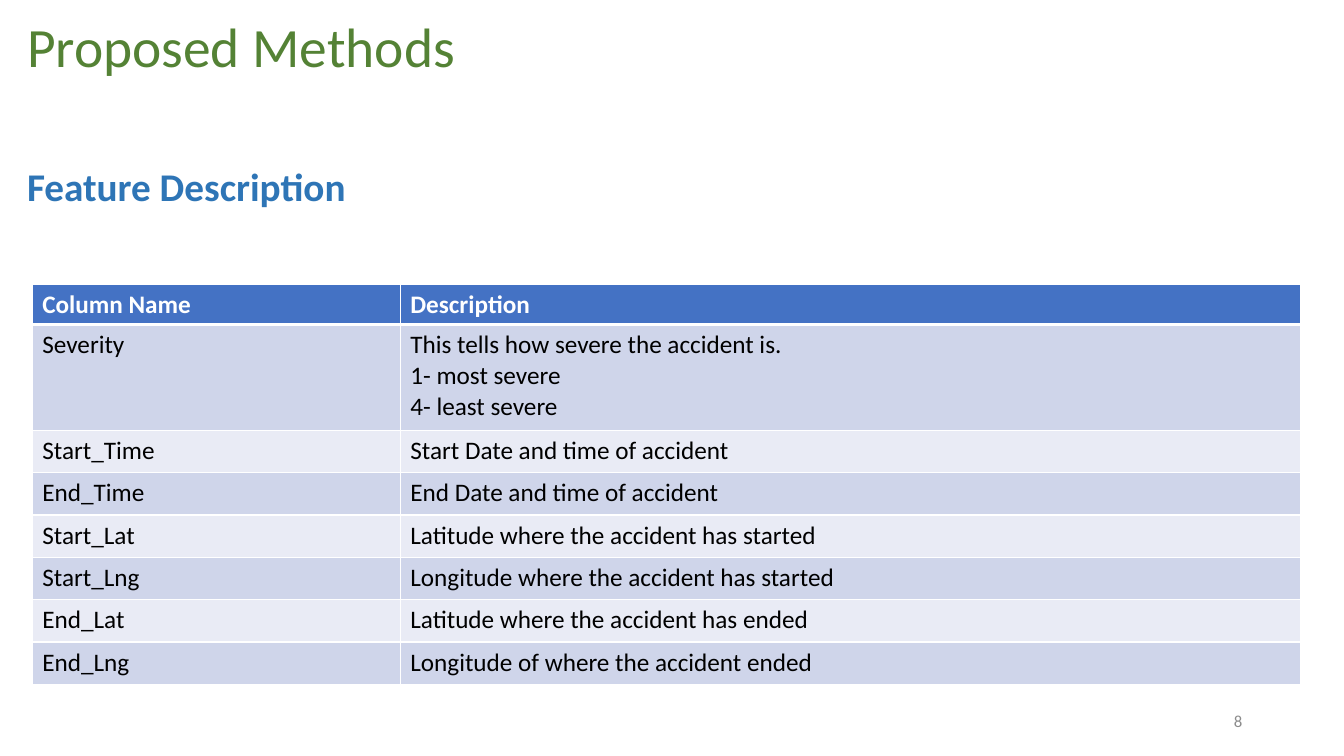
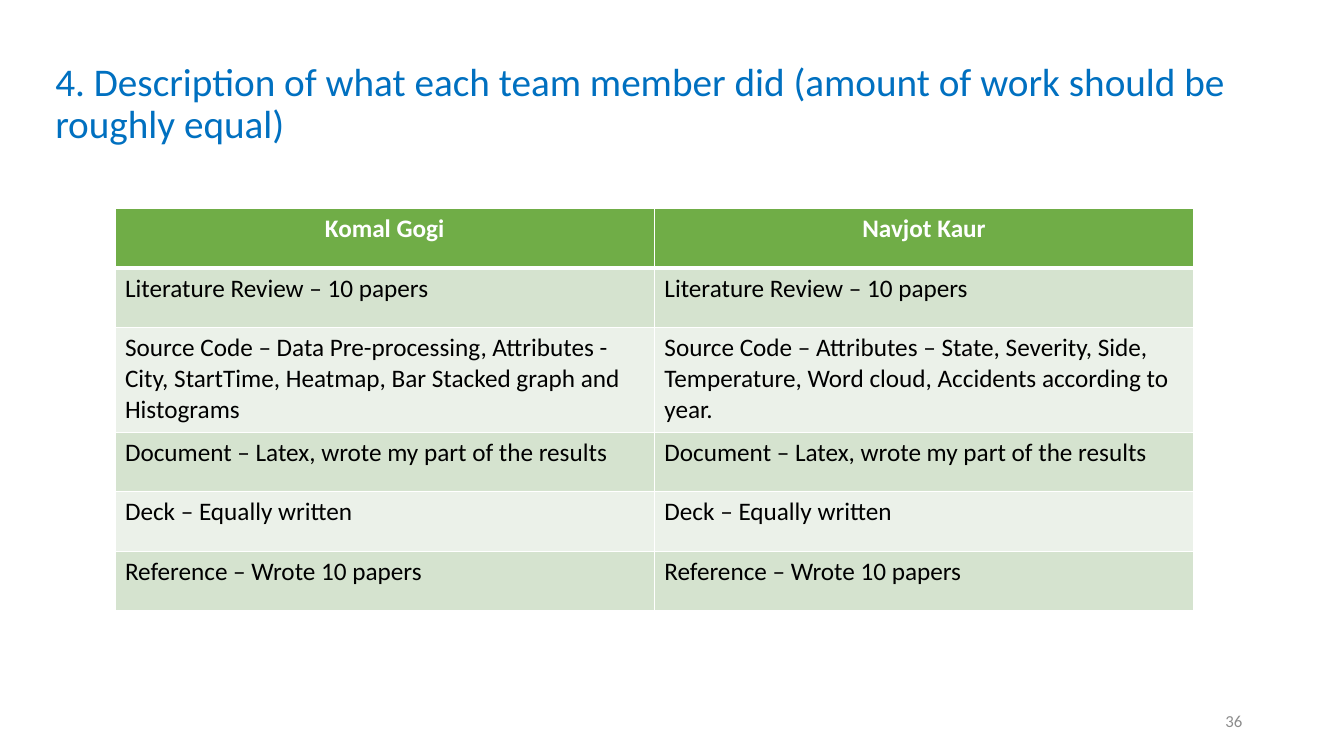
from lxml import etree
from pptx import Presentation
from pptx.dml.color import RGBColor
from pptx.enum.text import MSO_ANCHOR, PP_ALIGN
from pptx.oxml.ns import qn
from pptx.util import Inches, Pt

TOP, MIDDLE = MSO_ANCHOR.TOP, MSO_ANCHOR.MIDDLE
LEFT, CENTER, RIGHT = PP_ALIGN.LEFT, PP_ALIGN.CENTER, PP_ALIGN.RIGHT
FONT = "Calibri"
WHITE, BLACK, GRAY = "FFFFFF", "000000", "8C8C8C"
GREEN, BLUE, SKY = "548235", "2E75B6", "0070C0"
BLUES = ("4472C4", "CFD5EA", "E9EBF5")
GREENS = ("70AD47", "D5E3CF", "EBF1E9")
PAGE_BOX = (9.42, 6.95, 3, 0.4)

FEATURES = [
    ("Column Name", "Description"),
    ("Severity", "This tells how severe the accident is.\n1- most severe\n4- least severe"),
    ("Start_Time", "Start Date and time of accident"),
    ("End_Time", "End Date and time of accident"),
    ("Start_Lat", "Latitude where the accident has started"),
    ("Start_Lng", "Longitude where the accident has started"),
    ("End_Lat", "Latitude where the accident has ended"),
    ("End_Lng", "Longitude of where the accident ended"),
]
REVIEW = "Literature Review – 10 papers"
PAPER = "Document – Latex, wrote my part of the results"
DECK = "Deck – Equally written"
REFS = "Reference – Wrote 10 papers"
WORK = [
    ("Komal Gogi", "Navjot Kaur"),
    (REVIEW, REVIEW),
    ("Source Code – Data Pre-processing, Attributes - City, StartTime, Heatmap, "
     "Bar Stacked graph and Histograms",
     "Source Code – Attributes – State, Severity, Side, Temperature, Word cloud, "
     "Accidents according to year."),
    (PAPER, PAPER),
    (DECK, DECK),
    (REFS, REFS),
]


def color(code):
    """Turn a hex string into a colour."""
    return RGBColor.from_string(code)


def write(frame, text, size, ink, bold=False, align=LEFT, space=None):
    """Write text into the first paragraph, with a break at each newline."""
    para = frame.paragraphs[0]
    para.alignment = align
    para.line_spacing = space
    for i, line in enumerate(text.split("\n")):
        if i:
            para.add_line_break()
        run = para.add_run()
        run.text = line
        font = run.font
        font.name, font.size, font.bold = FONT, Pt(size), bold
        font.color.rgb = color(ink)


def add_text(slide, box, text, size, ink, anchor=TOP, **style):
    """Add a wrapped text box."""
    frame = slide.shapes.add_textbox(*map(Inches, box)).text_frame
    frame.word_wrap = True
    frame.vertical_anchor = anchor
    write(frame, text, size, ink, **style)


def add_edges(cell, top, bottom):
    """Draw white borders of the given top and bottom widths."""
    props = cell._tc.get_or_add_tcPr()
    for side, width in (("L", 1), ("R", 1), ("T", top), ("B", bottom)):
        line = etree.SubElement(props, qn("a:ln" + side), w=str(Pt(width)))
        fill = etree.SubElement(line, qn("a:solidFill"))
        etree.SubElement(fill, qn("a:srgbClr"), val=WHITE)


def add_grid(slide, left, top, cols, heights, rows, fills, align=LEFT):
    """Add a table with a header row and two alternating row fills."""
    size = (sum(cols), sum(heights))
    table = slide.shapes.add_table(
        len(rows), len(cols), *map(Inches, (left, top, *size))).table
    table.horz_banding = False
    for col, width in zip(table.columns, cols):
        col.width = Inches(width)
    for r, (texts, height) in enumerate(zip(rows, heights)):
        table.rows[r].height = Inches(height)
        head = r == 0
        for c, text in enumerate(texts):
            cell = table.cell(r, c)
            add_edges(cell, 3 if r == 1 else 1, 3 if head else 1)
            cell.fill.solid()
            cell.fill.fore_color.rgb = color(fills[0] if head else fills[2 - r % 2])
            write(cell.text_frame, text, 18, WHITE if head else BLACK,
                  bold=head, align=align if head else LEFT)


def add_page(deck, number):
    """Add a blank slide with its page number."""
    slide = deck.slides.add_slide(deck.slide_layouts[6])
    add_text(slide, PAGE_BOX, str(number), 12, GRAY, MIDDLE, align=RIGHT)
    return slide


def add_methods(deck):
    """Build the slide on the data features."""
    slide = add_page(deck, 8)
    add_text(slide, (0.17, 0.12, 11.5, 0.74), "Proposed Methods", 39.6, GREEN,
             MIDDLE, space=0.9)
    add_text(slide, (0.17, 1.61, 12.85, 0.55), "Feature Description", 28, BLUE,
             bold=True, space=0.9)
    add_grid(slide, 0.32, 2.82, (3.65, 8.93), [0.4, 1.05] + [0.42] * 6,
             FEATURES, BLUES)


def add_team(deck):
    """Build the slide on the work of each member."""
    slide = add_page(deck, 36)
    add_text(slide, (0.45, 0.57, 11.96, 1),
             "4. Description of what each team member did "
             "(amount of work should be roughly equal)", 28, SKY, space=0.9)
    add_grid(slide, 1.14, 2.07, (5.35, 5.35), [0.59] * 2 + [1.04] + [0.59] * 3,
             WORK, GREENS, CENTER)


def main():
    """Build and save the deck."""
    deck = Presentation()
    deck.slide_width, deck.slide_height = Inches(13.33), Inches(7.5)
    add_methods(deck)
    add_team(deck)
    deck.save("out.pptx")


if __name__ == "__main__":
    main()
